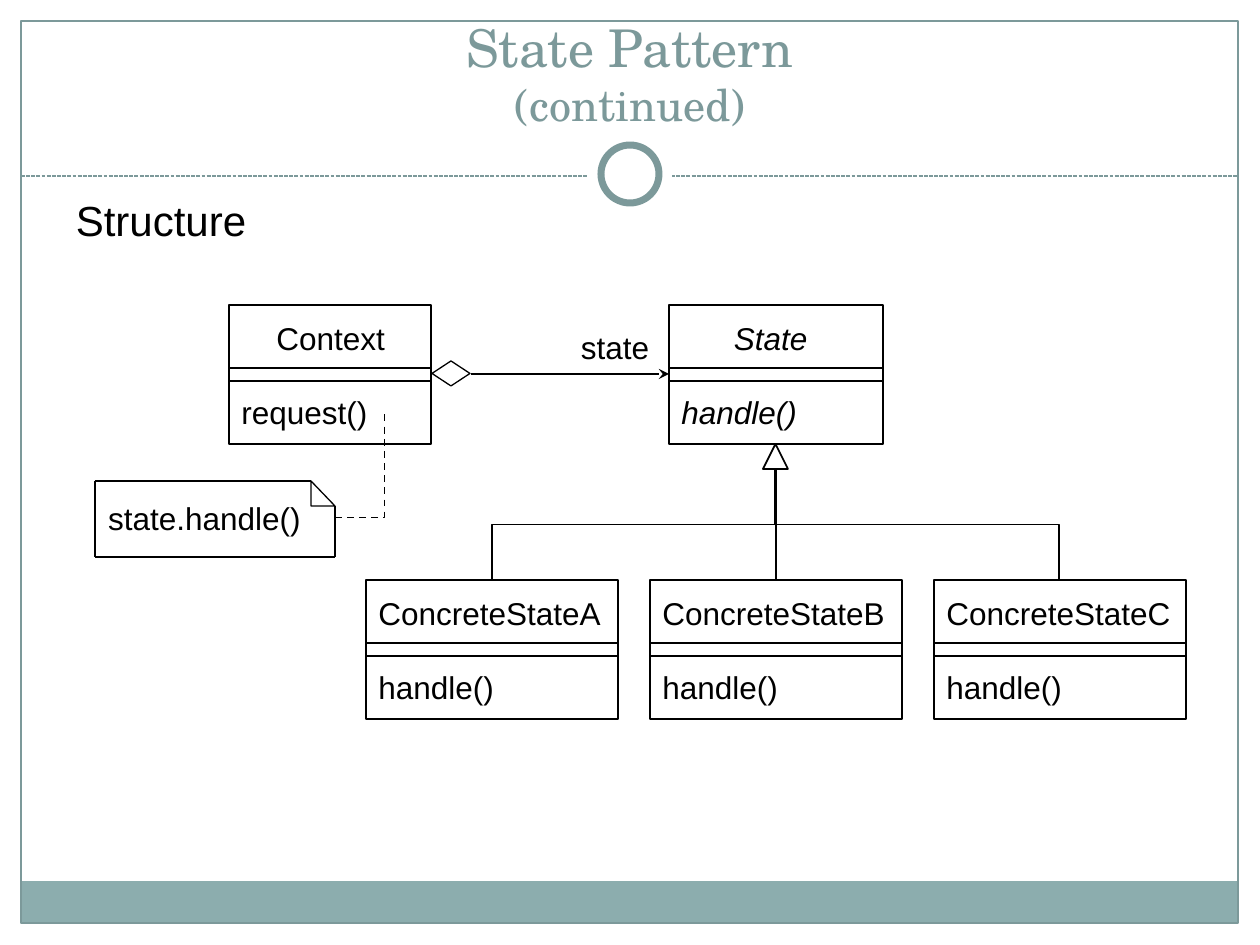
from lxml.etree import SubElement
from pptx import Presentation
from pptx.dml.color import RGBColor
from pptx.enum.dml import MSO_LINE
from pptx.enum.shapes import MSO_CONNECTOR, MSO_SHAPE
from pptx.enum.text import MSO_ANCHOR, PP_ALIGN
from pptx.oxml.ns import qn
from pptx.util import Emu, Pt

PX = 914400 / 126
BLACK = RGBColor(0x00, 0x00, 0x00)
WHITE = RGBColor(0xFF, 0xFF, 0xFF)
TEAL = RGBColor(0x7C, 0x99, 0x9A)
BAND = RGBColor(0x8C, 0xAD, 0xAE)

deck = Presentation()
deck.slide_width, deck.slide_height = Emu(9144000), Emu(6858000)
shapes = deck.slides.add_slide(deck.slide_layouts[6]).shapes


def draw(kind, box, fill=None, color=None, width=1):
    shape = shapes.add_shape(kind, *[Emu(round(n * PX)) for n in box])
    shape.shadow.inherit = False
    if fill is None:
        shape.fill.background()
    else:
        shape.fill.solid()
        shape.fill.fore_color.rgb = fill
    if color is None:
        shape.line.fill.background()
    else:
        shape.line.color.rgb = color
        shape.line.width = Pt(width)
    return shape


def link(ends, color=BLACK, width=1, dash=None, kind=MSO_CONNECTOR.STRAIGHT, turn=0):
    line = shapes.add_connector(kind, *[Emu(round(n * PX)) for n in ends])
    line.line.color.rgb = color
    line.line.width = Pt(width)
    if dash:
        line.line.dash_style = dash
    props = line._element.spPr
    SubElement(props, qn("a:effectLst"))
    if turn:
        props.find(qn("a:xfrm")).set("rot", str(turn * 60000))
    return line


# Slide frame, footer band and header ring
draw(MSO_SHAPE.RECTANGLE, (21, 881, 1217, 43), BAND)
draw(MSO_SHAPE.RECTANGLE, (21, 21, 1217, 902), None, TEAL, 0.75)
link((21, 176, 1238, 176), TEAL, 0.75, MSO_LINE.SQUARE_DOT)
draw(MSO_SHAPE.OVAL, (588, 132, 84, 84), WHITE)
draw(MSO_SHAPE.OVAL, (601, 145, 58, 58), None, TEAL, 4)

# Class boxes: left, top, width, name, indent in points, method, italic
classes = [
    (229, 305, 202, "Context", 20, "request()", False),
    (669, 305, 214, "State", 30, "handle()", True),
]
for i, letter in enumerate("ABC"):
    classes.append((366 + 284 * i, 580, 252, "ConcreteState" + letter, 0, "handle()", False))

texts = []
for left, top, width, name, indent, method, slant in classes:
    box = draw(MSO_SHAPE.RECTANGLE, (left, top, width, 139), None, BLACK)
    for drop in (63, 76):
        link((left, top + drop, left + width, top + drop))
    texts.append((box, True, MSO_ANCHOR.MIDDLE, PP_ALIGN.LEFT,
                  dict(name="Arial", italic=slant), BLACK,
                  [(name, 18, indent, 0), (method, 18, 0, 20.7)]))

# Inheritance tree
draw(MSO_SHAPE.ISOSCELES_TRIANGLE, (763, 444, 25, 25), None, BLACK)
link((776, 469, 776, 580))
link((578, 383, 689, 666), kind=MSO_CONNECTOR.ELBOW, turn=90)
link((973, 383, 862, 666), kind=MSO_CONNECTOR.ELBOW, turn=270)

# Aggregation from Context to State
arrow = link((471, 374, 669, 374))
SubElement(arrow.line._get_or_add_ln(), qn("a:tailEnd"), type="stealth")
draw(MSO_SHAPE.DIAMOND, (432, 361, 38, 25), None, BLACK, 0.75)

# Note with folded corner
draw(MSO_SHAPE.RIGHT_TRIANGLE, (311, 481, 24, 25), None, BLACK, 0.75)
for ends in [(95, 481, 95, 557), (95, 557, 335, 557),
             (95, 481, 311, 481), (335, 506, 335, 557)]:
    link(ends, width=0.75)
bend = link((308, 441, 411, 491), dash=MSO_LINE.DASH, kind=MSO_CONNECTOR.ELBOW, turn=90)
bend._element.spPr.find(qn("a:prstGeom")).set("prst", "bentConnector2")

# Title and labels
labels = [
    ((42, 32, 1176, 105), MSO_ANCHOR.BOTTOM, "TeX Gyre Schola", TEAL,
     [("State Pattern", 29.7, 0, 0), ("(continued)", 25.2, 0, 0)]),
    ((62, 188, 198, 63), MSO_ANCHOR.TOP, "Arial", BLACK, [("Structure", 24, 0, 0)]),
    ((568, 322, 94, 50), MSO_ANCHOR.TOP, "Arial", BLACK, [("state", 18, 0, 0)]),
    ((95, 493, 219, 50), MSO_ANCHOR.TOP, "Arial", BLACK, [("state.handle()", 18, 0, 0)]),
]
for place, anchor, font, color, lines in labels:
    box = shapes.add_textbox(*[Emu(round(n * PX)) for n in place])
    texts.append((box, False, anchor, PP_ALIGN.CENTER, dict(name=font), color, lines))

# Fill in all text
for box, wrap, anchor, align, style, color, lines in texts:
    frame = box.text_frame
    frame.word_wrap = wrap
    frame.vertical_anchor = anchor
    for i, (words, size, indent, gap) in enumerate(lines):
        para = frame.paragraphs[0] if i == 0 else frame.add_paragraph()
        para.alignment = align
        para.space_before = Pt(gap)
        if indent:
            para._p.get_or_add_pPr().set("marL", str(Pt(indent)))
        run = para.add_run()
        run.text = words
        run.font.color.rgb = color
        for key, value in dict(style, size=Pt(size)).items():
            setattr(run.font, key, value)

deck.save("out.pptx")
